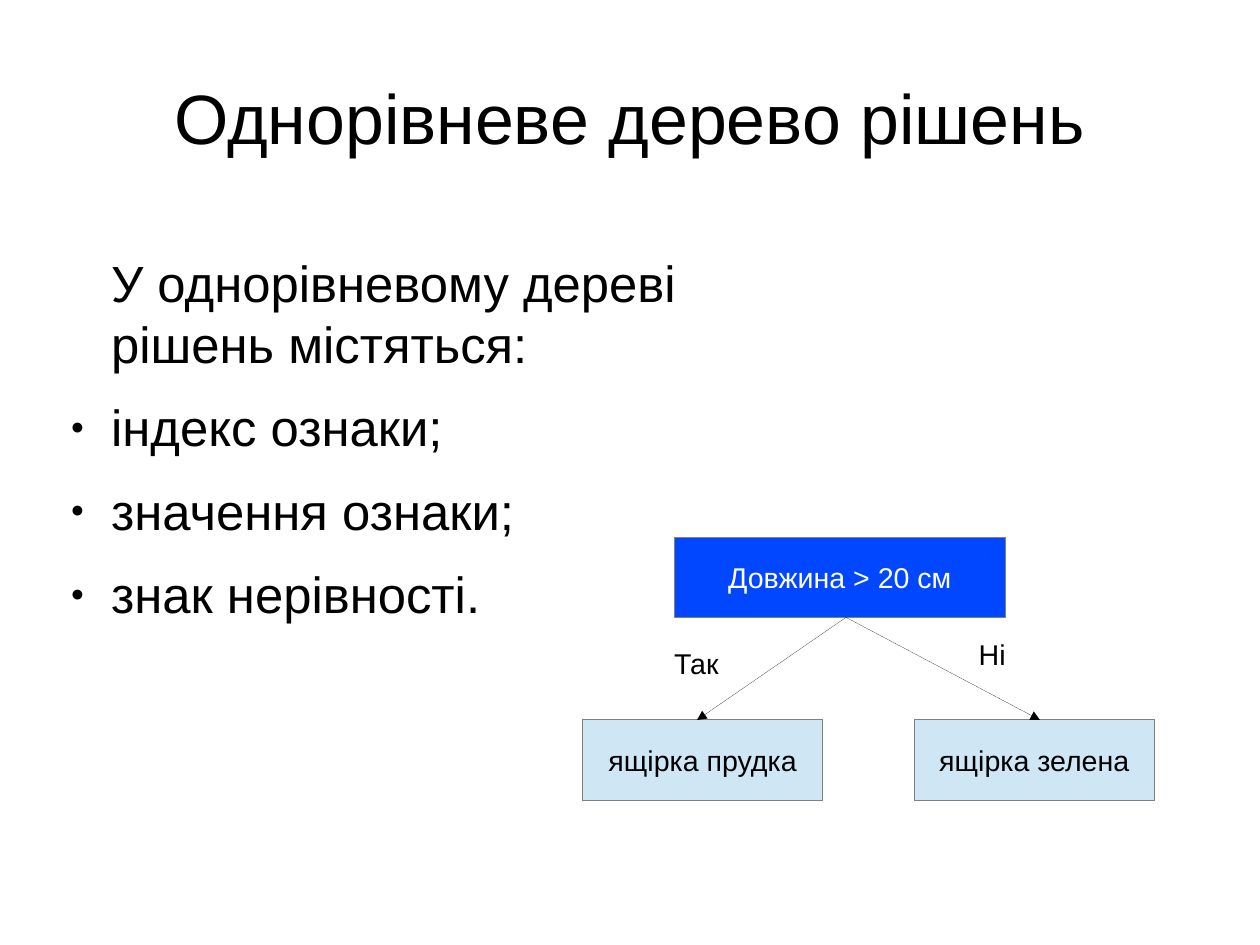
from dataclasses import dataclass

from lxml.etree import SubElement
from pptx import Presentation
from pptx.dml.color import RGBColor
from pptx.enum.shapes import MSO_CONNECTOR, MSO_SHAPE
from pptx.enum.text import MSO_ANCHOR, MSO_AUTO_SIZE, PP_ALIGN
from pptx.oxml.ns import qn
from pptx.util import Cm, Pt


@dataclass(frozen=True)
class Theme:
    font: str = "Arial"
    ink: str = "000000"
    light: str = "FFFFFF"
    root: str = "0047FF"
    leaf: str = "CFE7F5"
    edge: str = "808080"
    title: int = 44
    body: int = 32
    label: int = 18
    hair: float = 0.01


THEME = Theme()


def color(code):
    return RGBColor.from_string(code)


def write(para, text, size=THEME.label, ink=THEME.ink, align=None, after=0):
    para.text = text
    para.alignment = align
    para.space_before = Pt(0)
    para.space_after = Pt(after)
    font = para.runs[0].font
    font.name = THEME.font
    font.size = Pt(size)
    font.color.rgb = color(ink)


def place(shape, left, top, width, height):
    shape.left, shape.top = Cm(left), Cm(top)
    shape.width, shape.height = Cm(width), Cm(height)
    frame = shape.text_frame
    frame.margin_left = frame.margin_right = Cm(0)
    frame.margin_top = frame.margin_bottom = Cm(0)
    frame.auto_size = MSO_AUTO_SIZE.NONE
    return frame


def indent(para, bullet):
    props = para._p.get_or_add_pPr()
    props.set("marL", str(Cm(1.2)))
    props.set("indent", str(Cm(-0.9 if bullet else 0)))
    if bullet:
        tint = SubElement(props, qn("a:buClr"))
        SubElement(tint, qn("a:srgbClr"), val=THEME.ink)
        SubElement(props, qn("a:buSzPct"), val="45000")
        SubElement(props, qn("a:buFont"), typeface=THEME.font)
        SubElement(props, qn("a:buChar"), char="●")
    else:
        SubElement(props, qn("a:buNone"))


def add_list(frame, intro, items):
    for num, text in enumerate([intro, *items]):
        para = frame.add_paragraph() if num else frame.paragraphs[0]
        indent(para, bullet=num > 0)
        write(para, text, size=THEME.body, after=14.2)


def outline(line, ink):
    line.color.rgb = color(ink)
    line.width = Pt(THEME.hair)


def add_node(slide, text, left, top, width, fill, ink=THEME.ink):
    node = slide.shapes.add_shape(
        MSO_SHAPE.RECTANGLE, Cm(left), Cm(top), Cm(width), Cm(1.78))
    node.shadow.inherit = False
    node.fill.solid()
    node.fill.fore_color.rgb = color(fill)
    outline(node.line, THEME.edge)
    frame = node.text_frame
    frame.word_wrap = False
    frame.vertical_anchor = MSO_ANCHOR.MIDDLE
    write(frame.paragraphs[0], text, ink=ink, align=PP_ALIGN.CENTER)


def add_arrow(slide, start, end):
    arrow = slide.shapes.add_connector(
        MSO_CONNECTOR.STRAIGHT, *map(Cm, start), *map(Cm, end))
    outline(arrow.line, THEME.ink)
    SubElement(arrow.line._get_or_add_ln(), qn("a:tailEnd"), type="triangle")
    SubElement(arrow._element.spPr, qn("a:effectLst"))


def add_label(slide, text, left, top, width):
    box = slide.shapes.add_textbox(Cm(left), Cm(top), Cm(width), Cm(0.97))
    frame = box.text_frame
    frame.word_wrap = False
    frame.auto_size = MSO_AUTO_SIZE.SHAPE_TO_FIT_TEXT
    write(frame.paragraphs[0], text)


def main():
    deck = Presentation()
    deck.slide_width, deck.slide_height = Cm(28), Cm(21)
    slide = deck.slides.add_slide(deck.slide_layouts[1])
    title, body = slide.placeholders

    # Title and list
    frame = place(title, 1.4, 0.84, 25.2, 3.5)
    frame.vertical_anchor = MSO_ANCHOR.MIDDLE
    write(frame.paragraphs[0], "Однорівневе дерево рішень",
          size=THEME.title, align=PP_ALIGN.CENTER)
    add_list(place(body, 1.27, 5.59, 15.11, 12.17),
             "У однорівневому дереві рішень містяться:",
             ["індекс ознаки;", "значення ознаки;", "знак нерівності."])

    # Tree nodes
    add_node(slide, "Довжина > 20 см", 14.98, 11.94, 7.37,
             THEME.root, THEME.light)
    add_node(slide, "ящірка прудка", 12.95, 16, 5.33, THEME.leaf)
    add_node(slide, "ящірка зелена", 20.32, 16, 5.33, THEME.leaf)

    # Branches and their answers
    for tip in (15.49, 23.11):
        add_arrow(slide, (18.8, 13.72), (tip, 16))
    add_label(slide, "Так", 14.73, 14.22, 1.5)
    add_label(slide, "Ні", 21.5, 14.02, 1.2)

    deck.save("out.pptx")


if __name__ == "__main__":
    main()
